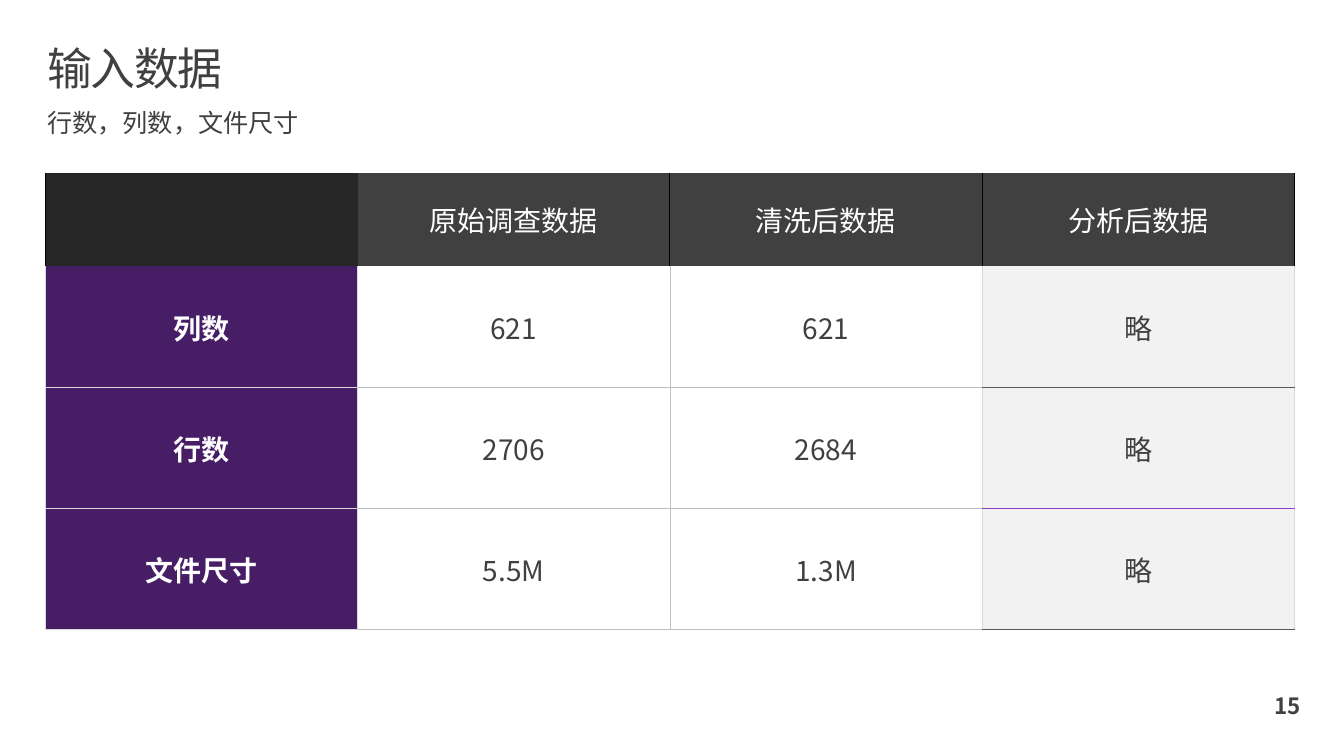
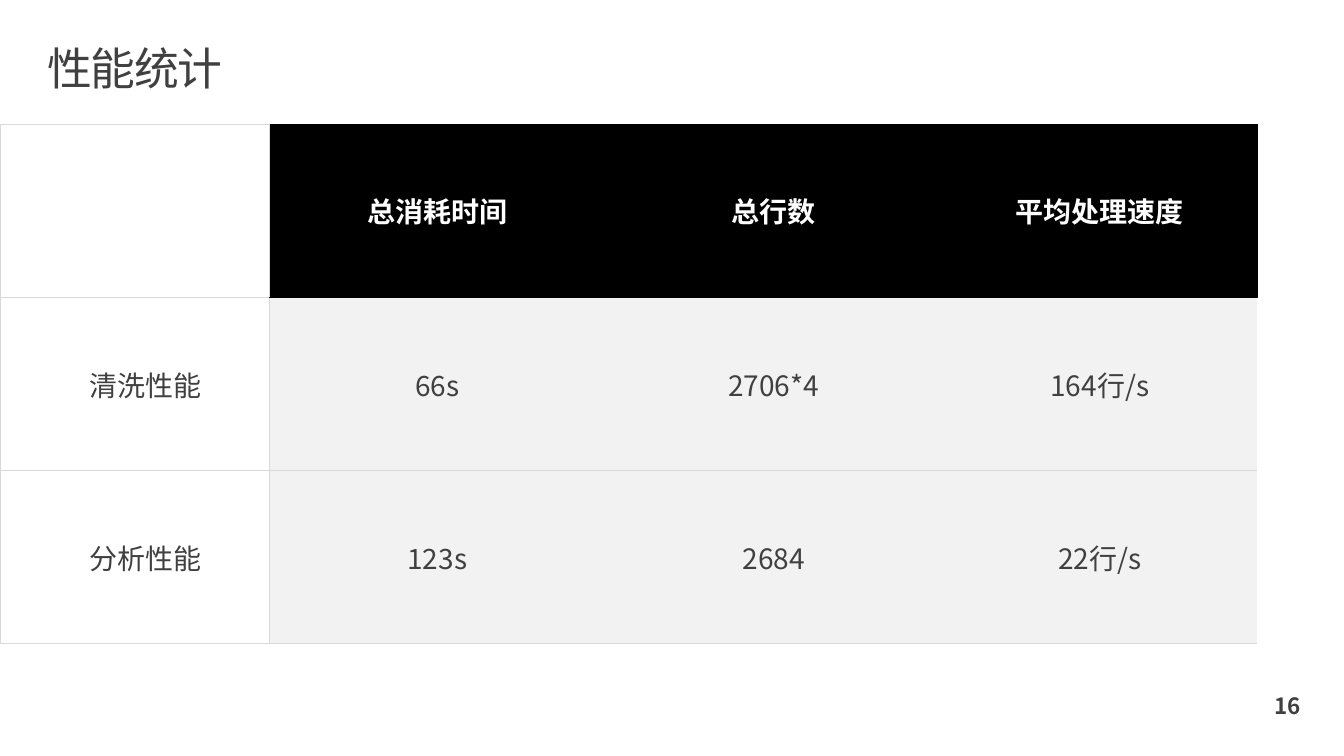
import pptx
import pptx.util
import pptx.dml.color
import pptx.enum.text
import pptx.oxml.ns
import lxml.etree

Cm = pptx.util.Cm
FONT = "Noto Sans CJK SC"
NO_STYLE = "{2D5ABB26-0587-4C30-8999-92F81FD0307C}"
INK, WHITE, BLACK = "404040", "FFFFFF", "000000"
PURPLE, VIOLET, CORNER = "471E66", "8E40C8", "262626"
PALE, LIGHT, SILVER, SLATE = "F2F2F2", "D9D9D9", "BFBFBF", "595959"
LEFT = pptx.enum.text.PP_ALIGN.LEFT
CENTER = pptx.enum.text.PP_ALIGN.CENTER
TOP = pptx.enum.text.MSO_ANCHOR.TOP
MIDDLE = pptx.enum.text.MSO_ANCHOR.MIDDLE

TITLE_BOX = (1.19, 1.19, 31.5, 1.19)
SUBTITLE_BOX = (1.19, 2.79, 31.5, 0.99)
NUMBER_BOX = (31.7, 17.27, 1.5, 1.02)

# Styles are (fill, text colour, bold); rules are (line, first, last, colour, points).
SLIDES = [
    {
        "title": "输入数据",
        "subtitle": "行数，列数，文件尺寸",
        "number": "15",
        "origin": (1.14, 4.36),
        "columns": [7.87] * 4,
        "rows": [2.35] + [3.05] * 3,
        "label_indent": 0.25,
        "cells": [
            ["", "原始调查数据", "清洗后数据", "分析后数据"],
            ["列数", "621", "621", "略"],
            ["行数", "2706", "2684", "略"],
            ["文件尺寸", "5.5M", "1.3M", "略"],
        ],
        "header": [(CORNER, WHITE, False)] + [(INK, WHITE, False)] * 3,
        "body": [(PURPLE, WHITE, True), (None, INK, False),
                 (None, INK, False), (PALE, INK, False)],
        "across": [(line, 0, 0, LIGHT, 1) for line in (2, 3, 4)]
        + [(line, 1, 2, SILVER, 0.25) for line in (2, 3, 4)]
        + [(2, 3, 3, SLATE, 1), (3, 3, 3, VIOLET, 1), (4, 3, 3, SLATE, 1)],
        "down": [(line, 0, 0, BLACK, 1) for line in (0, 2, 3, 4)]
        + [(line, 1, 3, LIGHT, 1) for line in (0, 1, 3, 4)]
        + [(2, 1, 3, SILVER, 0.25)],
    },
    {
        "title": "性能统计",
        "subtitle": None,
        "number": "16",
        "origin": (0, 3.13),
        "columns": [6.78, 8.48, 8.48, 7.95, 2.18],
        "rows": [4.36] * 3,
        "label_indent": 0.79,
        "cells": [
            ["", "总消耗时间", "总行数", "平均处理速度", ""],
            ["清洗性能", "66s", "2706*4", "164行/s", ""],
            ["分析性能", "123s", "2684", "22行/s", ""],
        ],
        "header": [(WHITE, INK, False)] + [(BLACK, WHITE, True)] * 3
        + [(WHITE, INK, False)],
        "body": [(WHITE, INK, False)] + [(PALE, INK, False)] * 3
        + [(WHITE, INK, False)],
        "across": [(line, 0, 0, LIGHT, 0.25) for line in (0, 1)]
        + [(line, 1, 3, BLACK, 0.25) for line in (0, 1)]
        + [(line, 0, 3, LIGHT, 0.25) for line in (2, 3)],
        "down": [(line, 0, 2, LIGHT, 0.25) for line in (0, 1)]
        + [(line, 0, 0, BLACK, 0.25) for line in (2, 3, 4)],
    },
]


def rgb(value):
    return pptx.dml.color.RGBColor.from_string(value)


def child(parent, tag, **attributes):
    return lxml.etree.SubElement(parent, pptx.oxml.ns.qn(tag), **attributes)


def write(para, text, size, colour, bold=False, spacing=None):
    span = para.add_run()
    span.text = text
    span.font.size = pptx.util.Pt(size)
    span.font.bold = bold
    span.font.name = FONT
    span.font.color.rgb = rgb(colour)
    properties = span._r.get_or_add_rPr()
    child(properties, "a:ea", typeface=FONT)
    if spacing:
        properties.set("spc", str(spacing))


def add_text(page, place, text, size, anchor=MIDDLE, align=LEFT,
             line_spacing=None, bold=False, spacing=None):
    box = page.shapes.add_textbox(*map(Cm, place))
    frame = box.text_frame
    frame.word_wrap = True
    frame.vertical_anchor = anchor
    frame.margin_left = frame.margin_right = 0
    frame.margin_top = frame.margin_bottom = 0
    para = frame.paragraphs[0]
    para.alignment = align
    para.line_spacing = line_spacing
    write(para, text, size, INK, bold, spacing)


def collect_edges(content):
    edges = {}
    for line, first, last, colour, points in content["across"]:
        for column in range(first, last + 1):
            edges[line - 1, column, "a:lnB"] = (colour, points)
            edges[line, column, "a:lnT"] = (colour, points)
    for line, first, last, colour, points in content["down"]:
        for row in range(first, last + 1):
            edges[row, line - 1, "a:lnR"] = (colour, points)
            edges[row, line, "a:lnL"] = (colour, points)
    return edges


def draw_borders(cell, row, column, edges):
    properties = cell._tc.get_or_add_tcPr()
    for side in ("a:lnL", "a:lnR", "a:lnT", "a:lnB"):
        if (row, column, side) in edges:
            colour, points = edges[row, column, side]
            line = child(properties, side, w=str(pptx.util.Pt(points)))
            child(child(line, "a:solidFill"), "a:srgbClr", val=colour)
        else:
            child(child(properties, side, w="0"), "a:noFill")


def fill_cell(cell, text, style):
    fill, colour, bold = style
    if fill:
        cell.fill.solid()
        cell.fill.fore_color.rgb = rgb(fill)
    else:
        cell.fill.background()
    cell.vertical_anchor = MIDDLE
    if text:
        para = cell.text_frame.paragraphs[0]
        para.alignment = CENTER
        write(para, text, 20, colour, bold)


def add_grid(page, content):
    widths, heights = content["columns"], content["rows"]
    left, top = content["origin"]
    place = map(Cm, (left, top, sum(widths), sum(heights)))
    table = page.shapes.add_table(len(heights), len(widths), *place).table
    table.first_row = table.horz_banding = False
    table._tbl.tblPr.find(pptx.oxml.ns.qn("a:tableStyleId")).text = NO_STYLE
    for column, width in zip(table.columns, widths):
        column.width = Cm(width)
    for row, height in zip(table.rows, heights):
        row.height = Cm(height)
    edges = collect_edges(content)
    for row, texts in enumerate(content["cells"]):
        styles = content["body"] if row else content["header"]
        for column, (text, style) in enumerate(zip(texts, styles)):
            cell = table.cell(row, column)
            draw_borders(cell, row, column, edges)
            fill_cell(cell, text, style)
            if row and column == 0:
                cell.margin_left = Cm(content["label_indent"])


def add_page(deck, content):
    page = deck.slides.add_slide(deck.slide_layouts[6])
    page.background.fill.solid()
    page.background.fill.fore_color.rgb = rgb(WHITE)
    add_text(page, TITLE_BOX, content["title"], 32, line_spacing=0.9, spacing=-100)
    if content["subtitle"]:
        add_text(page, SUBTITLE_BOX, content["subtitle"], 18, TOP, line_spacing=0.9)
    add_grid(page, content)
    add_text(page, NUMBER_BOX, content["number"], 16, align=CENTER, bold=True)


def main():
    deck = pptx.Presentation()
    deck.slide_width, deck.slide_height = Cm(33.87), Cm(19.05)
    for content in SLIDES:
        add_page(deck, content)
    deck.save("out.pptx")


if __name__ == "__main__":
    main()
